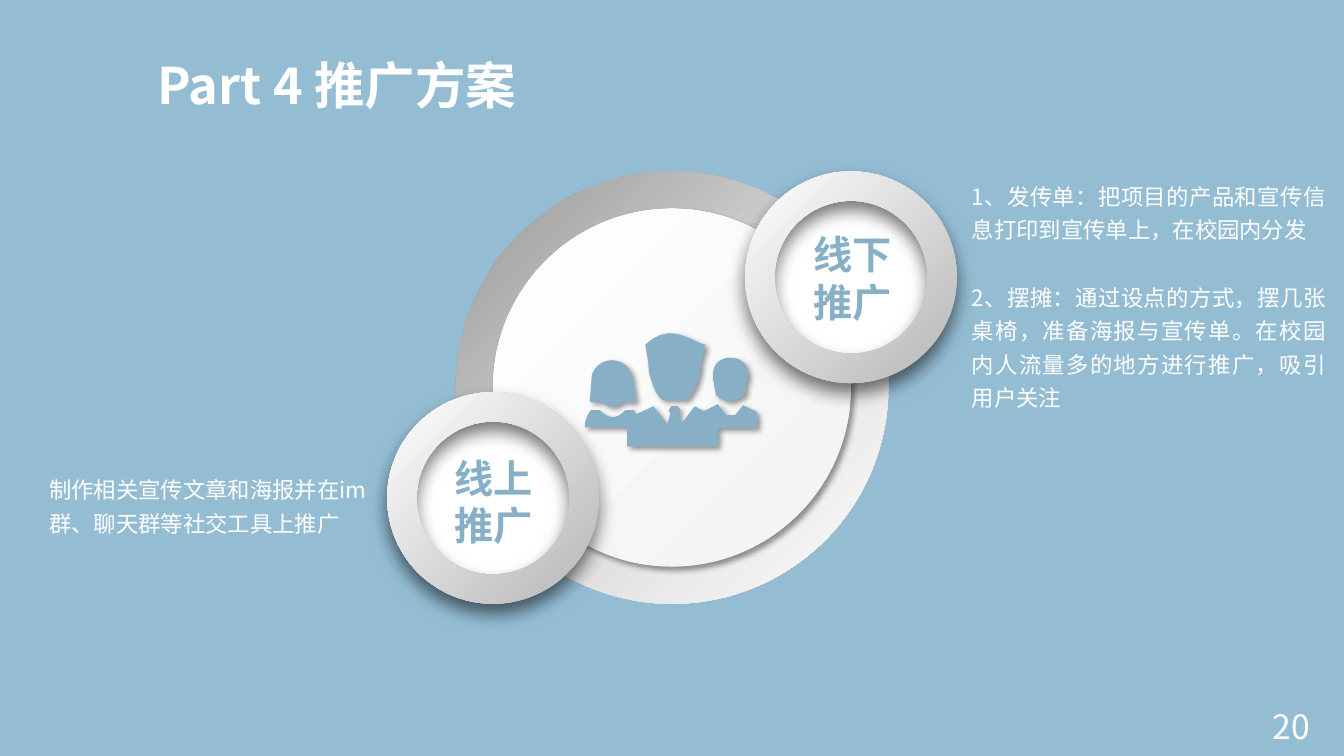
"""Build the promotion plan slide: two linked rings on a large disc, with notes."""
from pptx import Presentation
from pptx.dml.color import RGBColor
from pptx.enum import shapes, text
from pptx.oxml import ns, parse_xml
from pptx.util import Inches, Pt

SKY = RGBColor(0x94, 0xBD, 0xD4)
STEEL = RGBColor(0x87, 0xB0, 0xC7)
WHITE = RGBColor(0xFF, 0xFF, 0xFF)
SANS, SANS_JP = "Noto Sans CJK SC", "Noto Sans CJK JP"
LEFT, RIGHT, JUSTIFY = (text.PP_ALIGN.LEFT, text.PP_ALIGN.RIGHT,
                        text.PP_ALIGN.JUSTIFY)

TITLE = "Part 4 推广方案"
OFFLINE = ["1、发传单：把项目的产品和宣传信息打印到宣传单上，在校园内分发",
           "2、摆摊：通过设点的方式，摆几张桌椅，准备海报与宣传单。"
           "在校园内人流量多的地方进行推广，吸引用户关注"]
ONLINE = ["制作相关宣传文章和海报并在im群、聊天群等社交工具上推广"]
PAGE = "20"
RINGS = [(3.84, 3.89), (7.39, 1.70)]
LABELS = [(["线上", "推广"], (4.41, 4.46, 1.23, 1.04)),
          (["线下", "推广"], (7.97, 2.24, 1.23, 1.04))]

DISC_EDGE = [(0, "979797"), (50, "D7D7D7"), (100, "FFFFFF")]
DISC_FACE = [(0, "F2F2F2"), (100, "FFFFFF")]
RING_EDGE = [(12, "BFBFBF"), (100, "FFFFFF")]
SOFT_SHADOW = (40, 4, 3, 45)
DEEP_SHADOW = (54, 13, 7, 90)

# Each outline: pairs are corners, six numbers are a Bezier curve.
PEOPLE = {
    "left head": [(5.85, 3.99), (5.98, 3.99), (6.03, 4.05, 6.11, 4.05, 6.17, 3.99),
                  (6.31, 3.99), (6.27, 3.72), (6.2, 3.52, 5.93, 3.53, 5.87, 3.72)],
    "shoulders": [(6.98, 4.08), (7.12, 4.01), (7.2, 4.12), (7.29, 4.12),
                  (7.37, 4.02), (7.51, 4.09), (7.51, 4.25), (7.12, 4.25),
                  (7.12, 4.43), (6.22, 4.43), (6.22, 4.24), (5.8, 4.24),
                  (5.8, 4.18, 5.82, 4.12, 5.86, 4.07), (5.95, 4.07),
                  (6.03, 4.16, 6.12, 4.16, 6.2, 4.07), (6.29, 4.07),
                  (6.31, 4.11), (6.48, 4.03), (6.62, 4.21), (6.65, 4.1),
                  (6.63, 4.07), (6.66, 4.03), (6.72, 4.03), (6.75, 4.07),
                  (6.73, 4.1), (6.76, 4.2), (6.89, 4.03)],
    "right head": [(7.42, 3.73), (7.42, 3.61, 7.35, 3.55, 7.24, 3.55),
                   (7.14, 3.55, 7.07, 3.61, 7.07, 3.73), (7.07, 3.77),
                   (7.08, 3.79), (7.1, 3.92), (7.2, 4, 7.28, 4, 7.38, 3.92),
                   (7.39, 3.91), (7.4, 3.79), (7.42, 3.77)],
    "middle head": [(6.95, 3.61), (7, 3.42), (6.88, 3.41, 6.66, 3.17, 6.4, 3.42),
                    (6.43, 3.6), (6.43, 3.66, 6.44, 3.72, 6.46, 3.77),
                    (6.48, 3.85, 6.51, 3.91, 6.56, 3.96), (6.57, 3.97),
                    (6.8, 3.97), (6.82, 3.96),
                    (6.86, 3.91, 6.9, 3.85, 6.92, 3.78),
                    (6.94, 3.73, 6.95, 3.67, 6.95, 3.61)],
}


def element(xml):
    return parse_xml(xml.replace(" ", " " + ns.nsdecls("a") + " ", 1))


def finish(sp, fill, shadow=None):
    sp.line.fill.background()
    sp.shadow.inherit = False
    if isinstance(fill, RGBColor):
        sp.fill.solid()
        sp.fill.fore_color.rgb = fill
    else:
        sp.fill.gradient()
        sp.fill.gradient_angle = 315
        stops = sp.element.spPr.find(".//" + ns.qn("a:gsLst"))
        for stop in list(stops):
            stops.remove(stop)
        for pos, color in fill:
            stops.append(element(f'<a:gs pos="{pos * 1000}">'
                                 f'<a:srgbClr val="{color}"/></a:gs>'))
    if shadow:
        alpha, blur, dist, angle = shadow
        sp.element.spPr.find(ns.qn("a:effectLst")).append(element(
            f'<a:outerShdw blurRad="{Pt(blur)}" dist="{Pt(dist)}" '
            f'dir="{angle * 60000}" algn="ctr" rotWithShape="0">'
            f'<a:srgbClr val="000000"><a:alpha val="{alpha * 1000}"/>'
            '</a:srgbClr></a:outerShdw>'))


def add_round(parent, kind, x, y, size, fill, shadow=None, hole=None, turn=0):
    sp = parent.add_shape(kind, *map(Inches, (x, y, size, size)))
    sp.rotation = turn
    if hole:
        sp.adjustments[0] = hole
    finish(sp, fill, shadow)


def flatten(outline, steps=10):
    points = []
    for part in outline:
        if len(part) == 2:
            points.append(part)
            continue
        x0, y0 = points[-1]
        x1, y1, x2, y2, x3, y3 = part
        for t in (i / steps for i in range(1, steps + 1)):
            a, b, c, d = (1 - t) ** 3, 3 * t * (1 - t) ** 2, 3 * t * t * (1 - t), t ** 3
            points.append((a * x0 + b * x1 + c * x2 + d * x3,
                           a * y0 + b * y1 + c * y2 + d * y3))
    return [(Inches(x), Inches(y)) for x, y in points]


def write(sp, lines, box, size, color=WHITE, name=SANS, bold=False, align=LEFT,
          spacing=1.0, gap=0, anchor=text.MSO_ANCHOR.TOP, wrap=True):
    sp.left, sp.top, sp.width, sp.height = map(Inches, box)
    tf = sp.text_frame
    tf.auto_size = text.MSO_AUTO_SIZE.NONE
    tf.word_wrap, tf.vertical_anchor = wrap, anchor
    for i, line in enumerate(lines):
        p = tf.add_paragraph() if i else tf.paragraphs[0]
        p.alignment, p.line_spacing = align, spacing
        p.space_before = Pt(gap if i else 0)
        r = p.add_run()
        r.text = line
        r.font.size, r.font.bold = Pt(size), bold
        r.font.color.rgb, r.font.name = color, name
        r.font._element.append(element(f'<a:ea typeface="{name}"/>'))


prs = Presentation()
prs.slide_width, prs.slide_height = Inches(13.33), Inches(7.5)
slide = prs.slides.add_slide(prs.slide_layouts[5])
slide.background.fill.solid()
slide.background.fill.fore_color.rgb = SKY
sps = slide.shapes
OVAL, DONUT = shapes.MSO_SHAPE.OVAL, shapes.MSO_SHAPE.DONUT

write(sps.title, [TITLE], (1.46, 0.49, 3.88, 0.71), 36, bold=True, wrap=False)
add_round(sps, DONUT, 4.52, 1.7, 4.29, DISC_EDGE, hole=0.096)
add_round(sps, OVAL, 4.89, 2.07, 3.55, DISC_FACE, SOFT_SHADOW, turn=180)
for x, y in RINGS:
    ring = sps.add_group_shape().shapes
    add_round(ring, OVAL, x + 0.23, y + 0.23, 1.64, WHITE)
    add_round(ring, DONUT, x, y, 2.1, RING_EDGE, DEEP_SHADOW, hole=0.139, turn=180)

outlines = [flatten(outline) for outline in PEOPLE.values()]
people = sps.build_freeform(*outlines[0][0])
for i, points in enumerate(outlines):
    if i:
        people.move_to(*points[0])
    people.add_line_segments(points[1:], close=True)
finish(people.convert_to_shape(), STEEL, SOFT_SHADOW)


def add_text(lines, box, size, **style):
    write(sps.add_textbox(0, 0, 0, 0), lines, box, size, **style)


add_text(OFFLINE, (9.54, 1.7, 3.71, 2.43), 16, align=JUSTIFY, spacing=1.25, gap=24)
add_text(ONLINE, (0.39, 4.61, 3.38, 0.74), 16, spacing=1.25)
add_text([PAGE], (10.09, 7, 3, 0.4), 24, name=SANS_JP, align=RIGHT,
         anchor=text.MSO_ANCHOR.MIDDLE)
for lines, box in LABELS:
    add_text(lines, box, 28, color=STEEL, bold=True)
prs.save("out.pptx")
